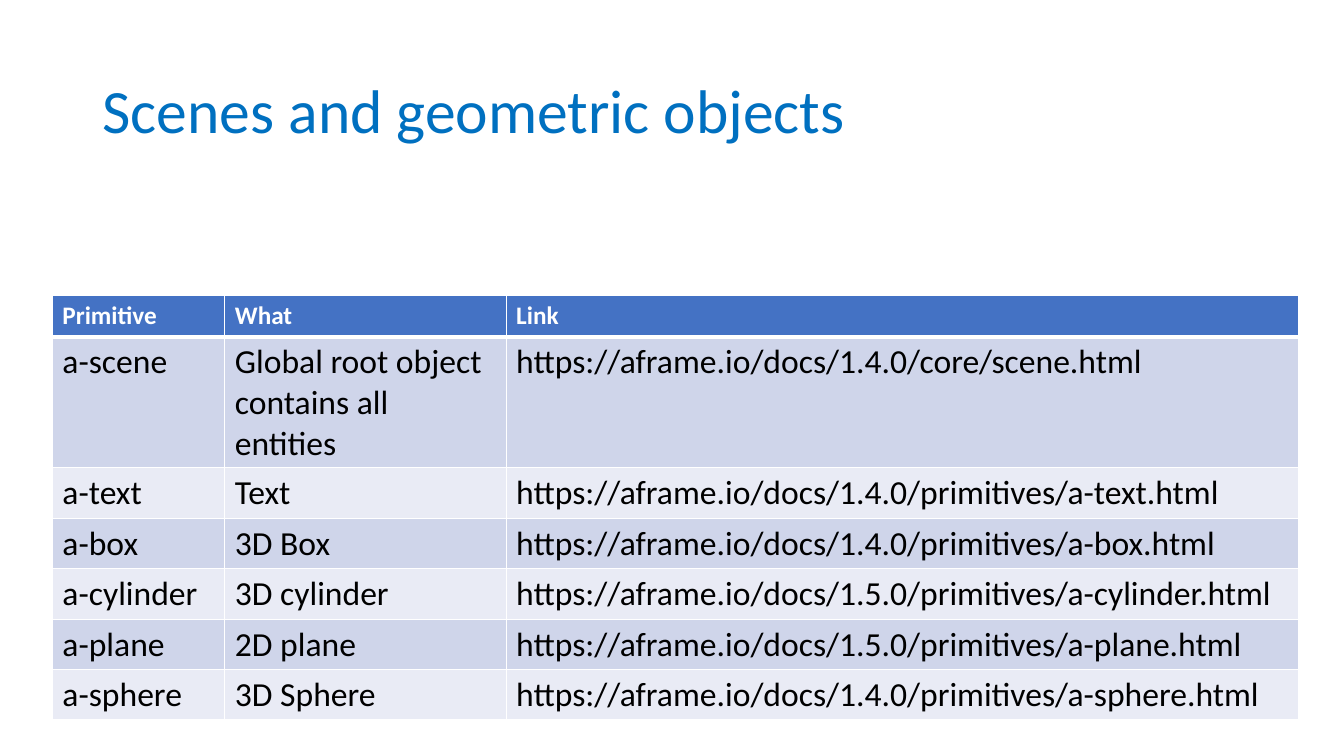
from lxml import etree
from pptx import Presentation
from pptx import util as u
from pptx.dml.color import RGBColor
from pptx.enum import text
from pptx.oxml import ns

WHITE = RGBColor(0xFF, 0xFF, 0xFF)
BLACK = RGBColor(0x00, 0x00, 0x00)
TITLE_BLUE = RGBColor(0x00, 0x70, 0xC0)
HEADER_BLUE = RGBColor(0x44, 0x72, 0xC4)
BANDS = (RGBColor(0xE9, 0xEB, 0xF5), RGBColor(0xCF, 0xD5, 0xEA))

DOCS = "https://aframe.io/docs/"
HEADINGS = ("Primitive", "What", "Link")
PRIMITIVES = (
    ("a-scene", "Global root object contains all entities", "1.4.0/core/scene"),
    ("a-text", "Text", "1.4.0/primitives/a-text"),
    ("a-box", "3D Box", "1.4.0/primitives/a-box"),
    ("a-cylinder", "3D cylinder", "1.5.0/primitives/a-cylinder"),
    ("a-plane", "2D plane", "1.5.0/primitives/a-plane"),
    ("a-sphere", "3D Sphere", "1.4.0/primitives/a-sphere"),
)


class SlideBuilder:
    """Style and current slide; lengths are percentages of the slide's size."""

    font = "Calibri"

    def __init__(self, deck):
        self.width, self.height = deck.slide_width, deck.slide_height
        self.page = deck.slides.add_slide(deck.slide_layouts[6])

    def across(self, share):
        return round(self.width * share / 100)

    def down(self, share):
        return round(self.height * share / 100)

    def area(self, left, top, width, height):
        return self.across(left), self.down(top), self.across(width), self.down(height)

    def add_words(self, frame, words, size, color, bold=False):
        para = frame.paragraphs[0]
        span = para.add_run()
        span.text = words
        style = {"name": self.font, "size": u.Pt(size), "bold": bold}
        for name, value in style.items():
            setattr(span.font, name, value)
        span.font.color.rgb = color
        return para

    def title(self, words, place):
        box = self.page.shapes.add_textbox(*self.area(*place))
        layout = {"word_wrap": True, "vertical_anchor": text.MSO_ANCHOR.MIDDLE}
        for name, value in layout.items():
            setattr(box.text_frame, name, value)
        self.add_words(box.text_frame, words, 44, TITLE_BLUE).line_spacing = 0.9

    def borders(self, cell, top, bottom):
        properties = cell._tc.get_or_add_tcPr()
        edges = {"lnL": 1, "lnR": 1, "lnT": top, "lnB": bottom}
        for position, (edge, points) in enumerate(edges.items()):
            line = etree.Element(ns.qn("a:" + edge), w=str(u.Pt(points)))
            paint = etree.SubElement(line, ns.qn("a:solidFill"))
            etree.SubElement(paint, ns.qn("a:srgbClr"), val=str(WHITE))
            properties.insert(position, line)

    def table(self, rows, place, column_shares, row_share):
        area = self.area(*place)
        frame = self.page.shapes.add_table(len(rows), len(column_shares), *area)
        for column, share in zip(frame.table.columns, column_shares):
            column.width = self.across(share)
        for index, (row, words) in enumerate(zip(frame.table.rows, rows)):
            row.height = self.down(row_share)
            header = index == 0
            for cell, entry in zip(row.cells, words):
                cell.fill.solid()
                cell.fill.fore_color.rgb = HEADER_BLUE if header else BANDS[index % 2]
                self.add_words(cell.text_frame, entry, 18 if header else 24,
                               WHITE if header else BLACK, header)
                # A heavy rule parts the header from the body
                self.borders(cell, 3 if index == 1 else 1, 3 if header else 1)
        frame.height = area[3]


def main():
    deck = Presentation()
    deck.slide_width, deck.slide_height = u.Inches(13.33), u.Inches(7.5)
    builder = SlideBuilder(deck)

    # Title
    builder.title("Scenes and geometric objects", (6.9, 5.33, 86.25, 19.33))

    # Table of primitives
    rows = [HEADINGS]
    rows += [(name, what, f"{DOCS}{link}.html") for name, what, link in PRIMITIVES]
    builder.table(rows, (3.9, 39.07, 92.72, 56.13), (12.83, 20.93, 58.96), 5.47)

    deck.save("out.pptx")


if __name__ == "__main__":
    main()
